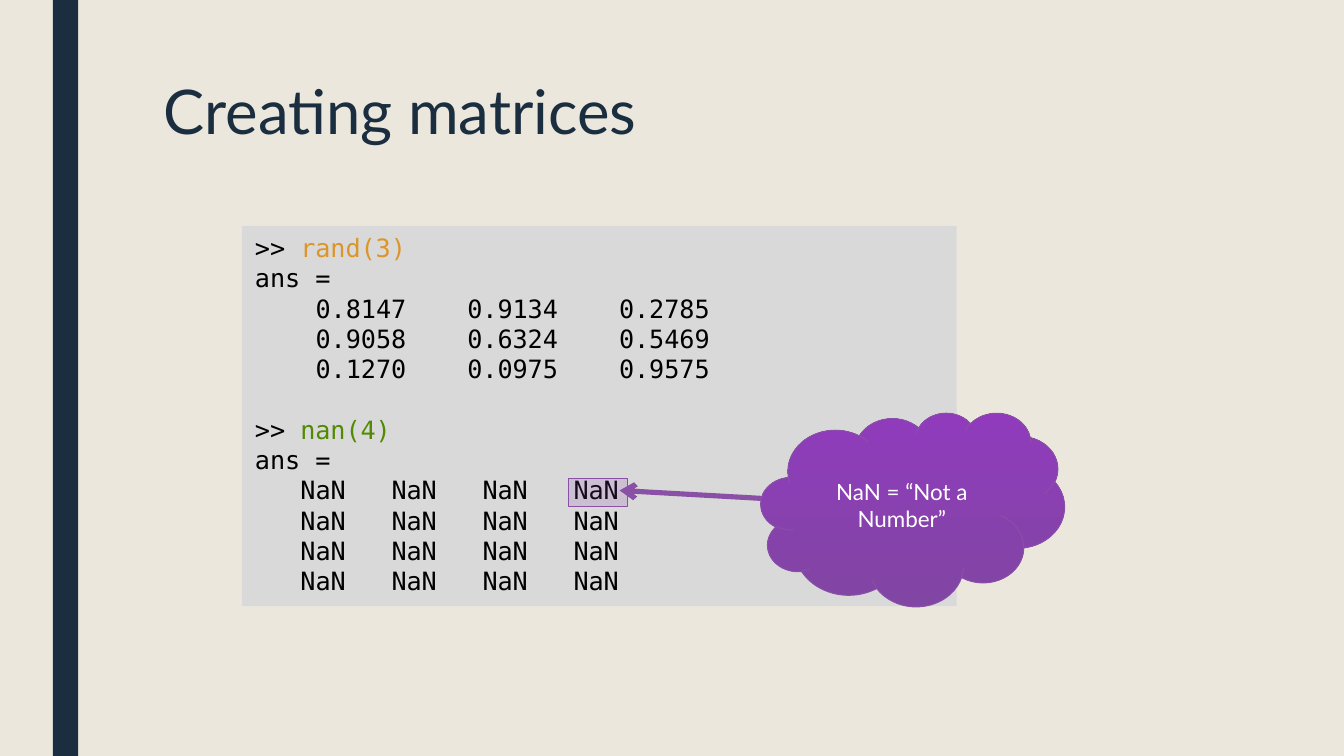
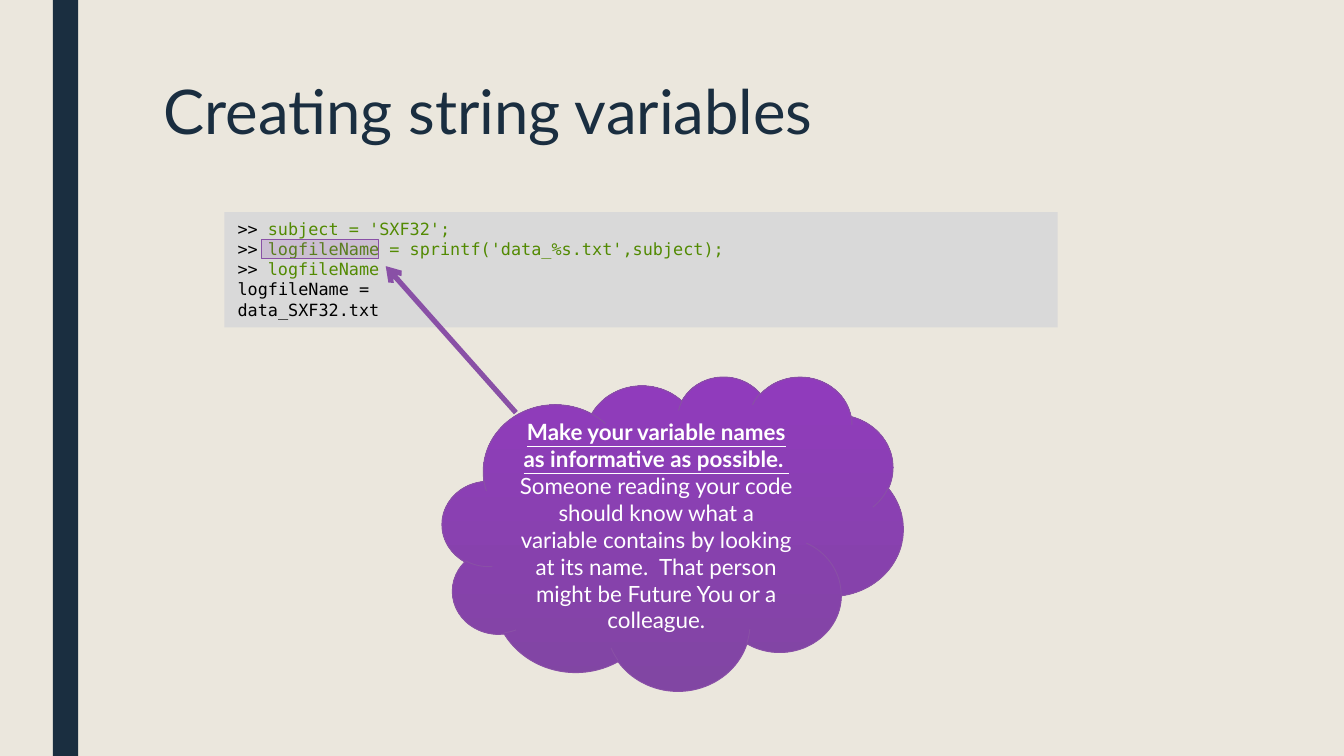
from pptx import Presentation, util as u
from pptx.dml.color import RGBColor
from pptx.enum import shapes, text
from pptx.oxml.ns import qn
from lxml import etree

NAVY, CREAM, GRAY = "1A2E40", "EBE7DD", "D9D9D9"
BLACK, WHITE, GREEN, GOLD = "000000", "FFFFFF", "528A02", "DC9528"
EDGE, DARK, LIGHT = "8950A6", "8146A3", "903BBC"
SANS, MONO = "Lato", "DejaVu Sans Mono"
PROMPT = (">> ", BLACK)


def rgb(code):
    return RGBColor.from_string(code)


def cms(*nums):
    return [u.Cm(n) for n in nums]


class Deck:
    """Holds the shared style and the slide being filled."""

    def __init__(self):
        self.prs = Presentation()
        self.prs.slide_width, self.prs.slide_height = cms(25.4, 14.29)

    def slide(self, title):
        self.page = self.prs.slides.add_slide(self.prs.slide_layouts[6])
        back = self.page.background.fill
        back.solid()
        back.fore_color.rgb = rgb(CREAM)
        self.block(1, 0, 0.48, 14.29, NAVY)
        box = self.page.shapes.add_textbox(*cms(2.84, 1.42, 20.02, 3.1))
        box.text_frame.word_wrap = True
        para = box.text_frame.paragraphs[0]
        para.line_spacing = 0.89
        self.label(para, [title], SANS, 33, NAVY)

    def shape(self, kind, box):
        item = self.page.shapes.add_shape(kind, *cms(*box))
        item.shadow.inherit = False
        return item

    def block(self, x, y, w, h, color):
        item = self.shape(shapes.MSO_SHAPE.RECTANGLE, (x, y, w, h))
        item.fill.solid()
        item.fill.fore_color.rgb = rgb(color)
        item.line.fill.background()
        return item

    def label(self, para, parts, font, size, color=None):
        """Add the parts as runs and return them."""
        para.font.name, para.font.size = font, u.Pt(size)
        if color:
            para.font.color.rgb = rgb(color)
        runs = []
        for part in parts:
            run = para.add_run()
            run.text = part
            runs.append(run)
        return runs

    def code(self, box, size, lines):
        """Draw code; a line is (runs, tab columns in characters, gap before)."""
        frame = self.block(*box, GRAY).text_frame
        frame.word_wrap = True
        frame.vertical_anchor = text.MSO_ANCHOR.TOP
        pitch = u.Pt(size * 1.2)
        for i, (parts, cols, gap) in enumerate(lines):
            para = frame.add_paragraph() if i else frame.paragraphs[0]
            para.alignment = text.PP_ALIGN.LEFT
            para.line_spacing = pitch
            if gap:
                para.space_before = pitch
            if cols:
                tabs = etree.SubElement(para._p.get_or_add_pPr(), qn("a:tabLst"))
                for col in cols:
                    spot = u.Pt(col * size * 0.602)
                    etree.SubElement(tabs, qn("a:tab"), pos=str(spot), algn="l")
            same = len({color for _, color in parts}) == 1
            runs = self.label(para, [part for part, _ in parts], MONO, size,
                              parts[0][1] if same else None)
            if not same:
                for run, (_, color) in zip(runs, parts):
                    run.font.color.rgb = rgb(color)

    def tint(self, item, alpha=None):
        """Fill with the purple gradient; alpha is a percentage."""
        item.fill.gradient()
        item.fill.gradient_angle = 90
        for stop, spot, color in zip(item.fill.gradient_stops, (0, 1), (DARK, LIGHT)):
            stop.position = spot
            stop.color.rgb = rgb(color)
        if alpha:
            for node in item._element.spPr.iter(qn("a:srgbClr")):
                etree.SubElement(node, qn("a:alpha"), val=str(alpha * 1000))
        item.line.color.rgb = rgb(EDGE)
        item.line.width = u.Pt(0.5)

    def mark(self, *box):
        self.tint(self.shape(shapes.MSO_SHAPE.RECTANGLE, box), 16)

    def arrow(self, *ends):
        line = self.page.shapes.add_connector(shapes.MSO_CONNECTOR.STRAIGHT, *cms(*ends))
        line.line.color.rgb = rgb(EDGE)
        line.line.width = u.Pt(2.75)
        etree.SubElement(line.line._get_or_add_ln(), qn("a:tailEnd"), type="arrow")
        etree.SubElement(line._element.spPr, qn("a:effectLst"))

    def cloud(self, box, note, lead=None):
        item = self.shape(shapes.MSO_SHAPE.CLOUD, box)
        self.tint(item)
        frame = item.text_frame
        frame.word_wrap = True
        frame.vertical_anchor = text.MSO_ANCHOR.MIDDLE
        para = frame.paragraphs[0]
        para.alignment = text.PP_ALIGN.CENTER
        runs = self.label(para, [lead, note] if lead else [note], SANS, 12, WHITE)
        if lead:
            runs[0].font.bold = runs[0].font.underline = True


def plain(line):
    return [(line, BLACK)], (), False


def call(line, color=GREEN, gap=False):
    return [PROMPT, (line, color)], (), gap


def row(cells, cols):
    return [("".join("\t" + cell for cell in cells), BLACK)], cols, False


def main():
    deck = Deck()

    deck.slide("Creating matrices")
    rand = ["0.8147 0.9134 0.2785", "0.9058 0.6324 0.5469", "0.1270 0.0975 0.9575"]
    deck.code((4.57, 4.27, 13.51, 7.19), 13.5, [
        call("rand(3)", GOLD),
        plain("ans ="),
        *[row(nums.split(), range(4, 25, 10)) for nums in rand],
        call("nan(4)", gap=True),
        plain("ans ="),
        *[row(["NaN"] * 4, range(3, 22, 6)) for _ in range(4)],
    ])
    deck.mark(10.74, 9.04, 1.12, 0.54)
    deck.arrow(14.38, 9.42, 11.71, 9.27)
    deck.cloud((14.38, 7.8, 5.74, 3.66), "NaN = “Not a Number”")

    deck.slide("Creating string variables")
    deck.code((4.24, 4.01, 15.75, 2.18), 9, [
        call("subject = 'SXF32';"),
        call("logfileName = sprintf('data_%s.txt',subject);"),
        call("logfileName"),
        plain("logfileName ="),
        plain("data_SXF32.txt"),
    ])
    deck.mark(4.95, 4.52, 2.2, 0.36)
    deck.arrow(9.75, 7.8, 7.29, 5.03)
    deck.cloud((8.36, 7.11, 8.71, 5.94),
               "Someone reading your code should know what a variable contains by "
               "looking at its name.  That person might be Future You or a colleague.",
               "Make your variable names as informative as possible.  ")

    deck.prs.save("out.pptx")


if __name__ == "__main__":
    main()
